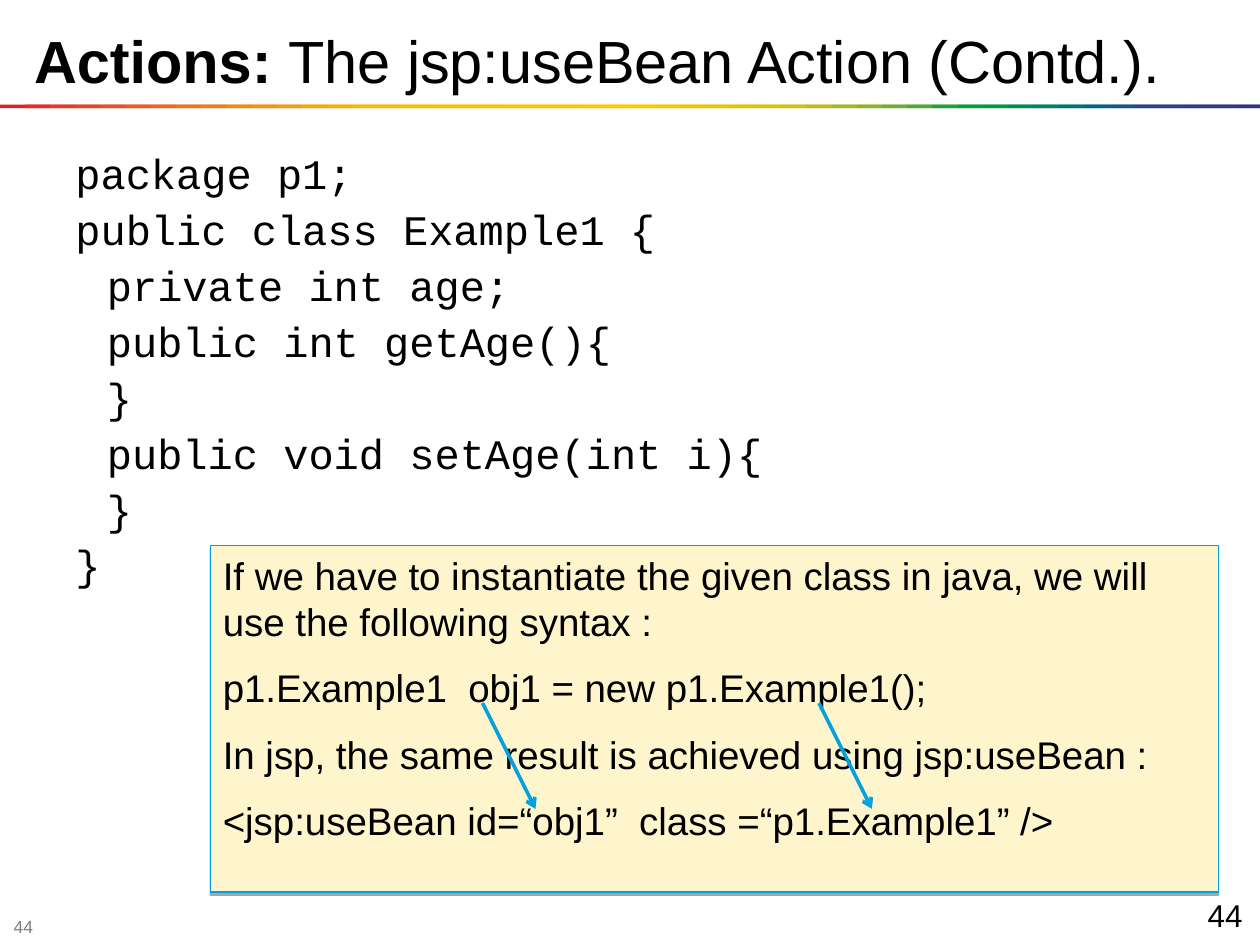
from dataclasses import dataclass

from lxml import etree
from pptx import Presentation
from pptx.dml.color import RGBColor
from pptx.enum.shapes import MSO_CONNECTOR, MSO_SHAPE
from pptx.enum.text import MSO_ANCHOR, PP_ALIGN
from pptx.oxml.ns import qn
from pptx.util import Emu, Inches, Pt

RECT, STRAIGHT = MSO_SHAPE.RECTANGLE, MSO_CONNECTOR.STRAIGHT
TOP, MIDDLE = MSO_ANCHOR.TOP, MSO_ANCHOR.MIDDLE
LEFT, RIGHT = PP_ALIGN.LEFT, PP_ALIGN.RIGHT
WIDTH, HEIGHT = 10, 7.5


@dataclass(frozen=True)
class Theme:
    sans: str = "Arial"
    mono: str = "Courier New"
    ink: str = "000000"
    grey: str = "7F7F7F"
    cream: str = "FFF5CD"
    border: str = "00A1DF"
    arrow: str = "03A2DF"
    title: int = 34
    code: int = 24
    note: int = 22
    number: int = 18
    footer: int = 10
    rainbow: tuple = tuple("""
        E31E24 E42C24 E53A24 E74623 E85122 EA5D21 EC691F EE741D EF7E1A F18817
        F39314 F49C0F F6A607 F8B002 FBBA00 FBBB00 FBBD00 FCBF00 FCC000 FCC200
        FDC400 FDC600 FDC700 FEC900 FECB00 FBCB00 F3CA00 ECC800 E4C602 DCC50A
        D5C30E CCC117 B8BC21 A3B829 8CB230 71AD36 51A73B 1DA240 009D43 009846
        008C57 008068 007275 00637F 185384 2E4285 313E85 333B85 353885 393185
    """.split())


@dataclass(frozen=True)
class Box:
    x: float
    y: float
    w: float
    h: float

    def emu(self) -> tuple[Emu, Emu, Emu, Emu]:
        return Inches(self.x), Inches(self.y), Inches(self.w), Inches(self.h)


@dataclass(frozen=True)
class Style:
    size: int
    font: str
    color: str
    align: PP_ALIGN = LEFT
    anchor: MSO_ANCHOR = TOP
    gap: float = 0
    spacing: float = 1.0
    hanging: float = 0


@dataclass(frozen=True)
class Arrow:
    x: float
    y: float
    dx: float = 0.42
    dy: float = 0.84


T = Theme()

CODE = ["package p1;", "public class Example1 {", "\tprivate int age;",
        "\tpublic int getAge(){", "\t}", "\tpublic void setAge(int i){", "\t}", "}"]
NOTE = ["If we have to instantiate the given class in java, we will use the following syntax :",
        "p1.Example1  obj1 = new p1.Example1();",
        "In jsp, the same result is achieved using jsp:useBean :",
        "<jsp:useBean id=“obj1”  class =“p1.Example1” />"]
ARROWS = [Arrow(3.83, 5.58), Arrow(6.5, 5.58)]


def rgb(color: str) -> RGBColor:
    return RGBColor.from_string(color)


def write(shape, lines: list[str], style: Style) -> None:
    tf = shape.text_frame
    tf.word_wrap = True
    tf.vertical_anchor = style.anchor
    tf.text = "\n".join(lines)
    for i, p in enumerate(tf.paragraphs):
        p.alignment = style.align
        p.line_spacing = style.spacing
        p.space_before = Pt(style.gap if i else 0)
        if style.hanging:
            pPr = p._p.get_or_add_pPr()
            pPr.set("marL", str(Inches(style.hanging)))
            pPr.set("indent", str(-Inches(style.hanging)))
        for r in p.runs:
            r.font.size, r.font.name = Pt(style.size), style.font
            r.font.color.rgb = rgb(style.color)


def add_text(s, box: Box, lines: list[str], style: Style) -> None:
    write(s.shapes.add_textbox(*box.emu()), lines, style)


def add_rect(s, box: Box, fill: str):
    sp = s.shapes.add_shape(RECT, *box.emu())
    sp.shadow.inherit = False
    sp.fill.solid()
    sp.fill.fore_color.rgb = rgb(fill)
    sp.line.fill.background()
    return sp


def add_rainbow(s, y: float, h: float) -> None:
    step = WIDTH / len(T.rainbow)
    for i, color in enumerate(T.rainbow):
        x = i * step
        add_rect(s, Box(x, y, min(2 * step, WIDTH - x), h), color)


def add_drop_shadow(sp) -> None:
    effects = sp._element.spPr.find(qn("a:effectLst"))
    shadow = etree.SubElement(effects, qn("a:outerShdw"), blurRad="0",
                              dist=str(Pt(1.8)), dir="5400000", rotWithShape="0")
    color = etree.SubElement(shadow, qn("a:srgbClr"), val=T.ink)
    etree.SubElement(color, qn("a:alpha"), val="35000")


def add_arrow(s, a: Arrow) -> None:
    c = s.shapes.add_connector(STRAIGHT, Inches(a.x), Inches(a.y),
                               Inches(a.x + a.dx), Inches(a.y + a.dy))
    c.line.color.rgb = rgb(T.arrow)
    c.line.width = Pt(2)
    etree.SubElement(c.line._get_or_add_ln(), qn("a:tailEnd"), type="arrow")
    etree.SubElement(c._element.spPr, qn("a:effectLst"))


def main() -> None:
    prs = Presentation()
    prs.slide_width, prs.slide_height = Inches(WIDTH), Inches(HEIGHT)
    s = prs.slides.add_slide(prs.slide_layouts[5])

    # Title and the rainbow rule under it
    title = s.shapes.title
    title.left, title.top, title.width, title.height = Box(0.17, 0.14, 9.5, 0.67).emu()
    write(title, ["Actions: "], Style(T.title, T.sans, T.ink))
    p = title.text_frame.paragraphs[0]
    p.runs[0].font.bold = True
    r = p.add_run()
    r.text = "The jsp:useBean Action (Contd.)."
    r.font.size, r.font.name, r.font.bold = Pt(T.title), T.sans, False
    r.font.color.rgb = rgb(T.ink)
    add_rainbow(s, 0.83, 0.03)

    # Code listing
    add_text(s, Box(0.5, 1.17, 5.67, 3.83), CODE,
             Style(T.code, T.mono, T.ink, gap=6, spacing=0.9, hanging=0.25))

    # Page numbers
    add_text(s, Box(0.01, 7.27, 0.39, 0.16), ["44"],
             Style(T.footer, T.sans, T.grey, anchor=MIDDLE))
    add_text(s, Box(9, 7.06, 0.96, 0.35), ["44"],
             Style(T.number, T.sans, T.ink, align=RIGHT))

    # Explanation with arrows between matching names
    note = add_rect(s, Box(1.67, 4.33, 8, 2.75), T.cream)
    note.line.color.rgb = rgb(T.border)
    note.line.width = Pt(0.75)
    add_drop_shadow(note)
    write(note, NOTE, Style(T.note, T.sans, T.ink, gap=11.5))
    for arrow in ARROWS:
        add_arrow(s, arrow)

    prs.save("out.pptx")


if __name__ == "__main__":
    main()
